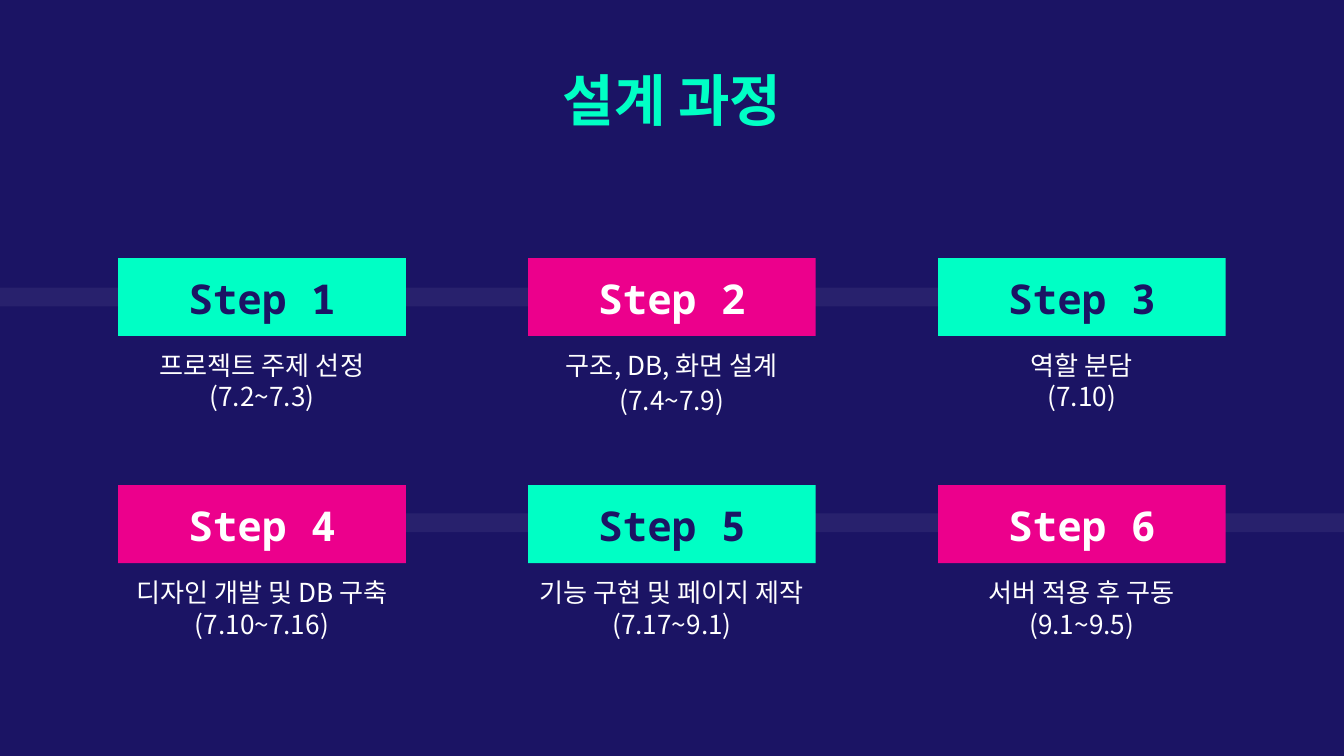
from pptx import Presentation
from pptx.dml.color import RGBColor
from pptx.enum.shapes import MSO_SHAPE as Shape
from pptx.enum.text import MSO_ANCHOR as Anchor, PP_ALIGN as Align
from pptx.oxml.ns import qn
from pptx.util import Inches, Pt
from lxml.etree import SubElement

NAVY = RGBColor(0x1B, 0x14, 0x64)
MINT = RGBColor(0x00, 0xFF, 0xC5)
PINK = RGBColor(0xEC, 0x00, 0x8C)
WHITE = RGBColor(0xFF, 0xFF, 0xFF)
SANS, MONO = "Noto Sans CJK KR", "Noto Sans Mono"


def add_rect(x, y, w, h, color):
    box = slide.shapes.add_shape(
        Shape.RECTANGLE, Inches(x), Inches(y), Inches(w), Inches(h))
    box.shadow.inherit = False
    box.fill.solid()
    box.fill.fore_color.rgb = color
    box.line.fill.background()
    return box


def write(shape, text, size, color, face=SANS, bold=False, anchor=Anchor.TOP,
          pad=0.1):
    """Fill a shape with centred text, one paragraph per line."""
    frame = shape.text_frame
    frame.text = text
    frame.word_wrap = True
    frame.vertical_anchor = anchor
    frame.margin_left = frame.margin_right = Inches(0.1)
    frame.margin_top = frame.margin_bottom = Inches(pad)
    for para in frame.paragraphs:
        para.alignment = Align.CENTER
        para.line_spacing = 1.0
        for run in para.runs:
            font = run.font
            font.size, font.bold, font.name = Pt(size), bold, face
            font.color.rgb = color
            # Hangul takes its typeface from the East Asian slot
            SubElement(font._element, qn("a:ea")).set("typeface", face)


prs = Presentation()
prs.slide_width = Inches(10)
prs.slide_height = prs.slide_width * 9 // 16
slide = prs.slides.add_slide(prs.slide_layouts[5])
slide.background.fill.solid()
slide.background.fill.fore_color.rgb = NAVY

# Faint bands behind the two rows of steps
for x, y, w in [(0, 2.14, 8.52), (1.02, 3.82, 8.98)]:
    band = add_rect(x, y, w, 0.14, WHITE)
    tint = band.fill._xPr.find(qn("a:solidFill"))[0]
    SubElement(tint, qn("a:alpha")).set("val", "6000")

title = slide.shapes.title
title.left, title.top = Inches(1.4), Inches(0.37)
title.width, title.height = Inches(7.2), Inches(0.73)
write(title, "설계 과정", 30, MINT, bold=True, anchor=Anchor.MIDDLE)

# Step text and the width of its box
steps = [
    ("프로젝트 주제 선정\n(7.2~7.3)", 2.07),
    ("구조, DB, 화면 설계", 2.07),
    ("역할 분담\n(7.10)", 2.07),
    ("디자인 개발 및 DB 구축\n(7.10~7.16)", 2.07),
    ("기능 구현 및 페이지 제작\n(7.17~9.1)", 2.42),
    ("서버 적용 후 구동\n(9.1~9.5)", 2.07),
]
for i, (text, wide) in enumerate(steps):
    row, col = divmod(i, 3)
    x, y = 0.88 + 3.05 * col, 1.92 + 1.69 * row
    fill, ink = (PINK, WHITE) if i % 2 else (MINT, NAVY)
    note = slide.shapes.add_textbox(
        Inches(x + (2.14 - wide) / 2), Inches(y + 0.58),
        Inches(wide), Inches(0.73))
    write(note, text, 14, WHITE)
    head = add_rect(x, y, 2.14, 0.58, fill)
    write(head, f"Step {i + 1}", 22, ink, MONO, True, Anchor.BOTTOM)

date = slide.shapes.add_textbox(
    Inches(4.45), Inches(2.81), Inches(1.1), Inches(0.34))
write(date, "(7.4~7.9)", 14, WHITE, pad=0.05)

prs.save("out.pptx")
